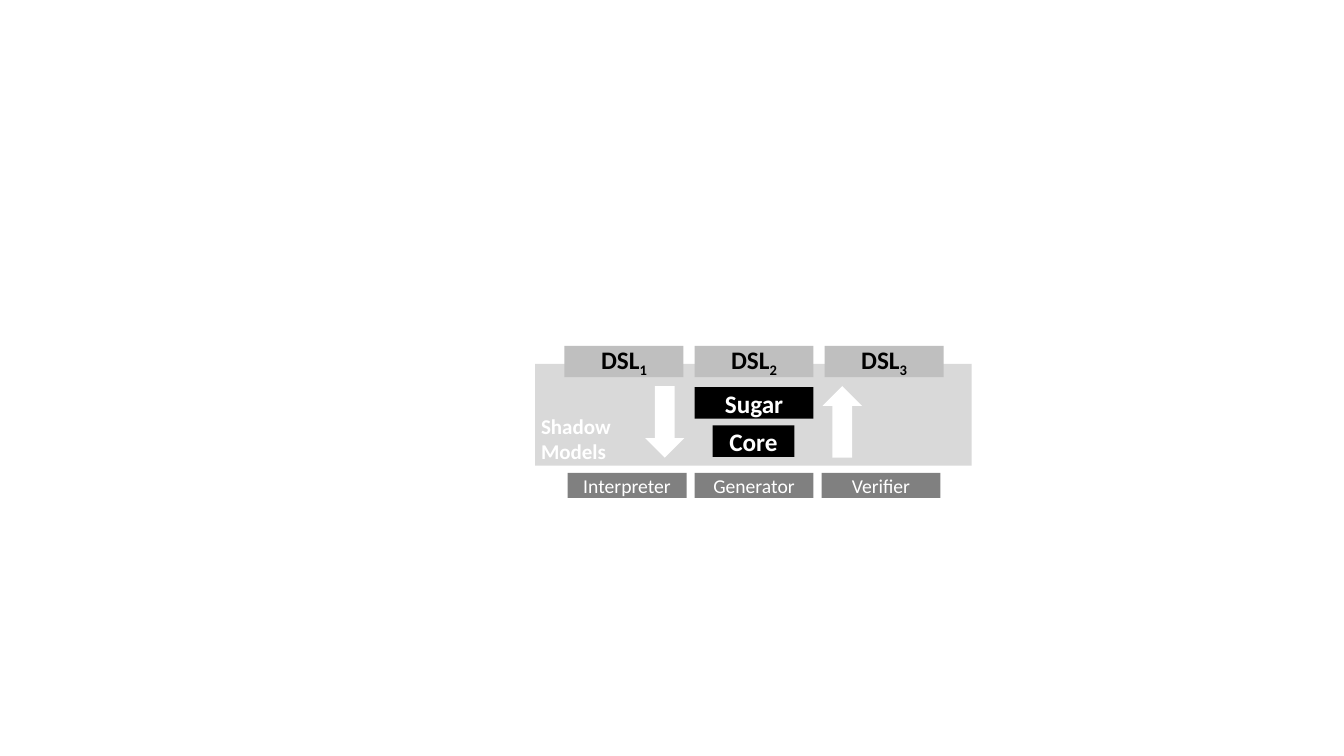
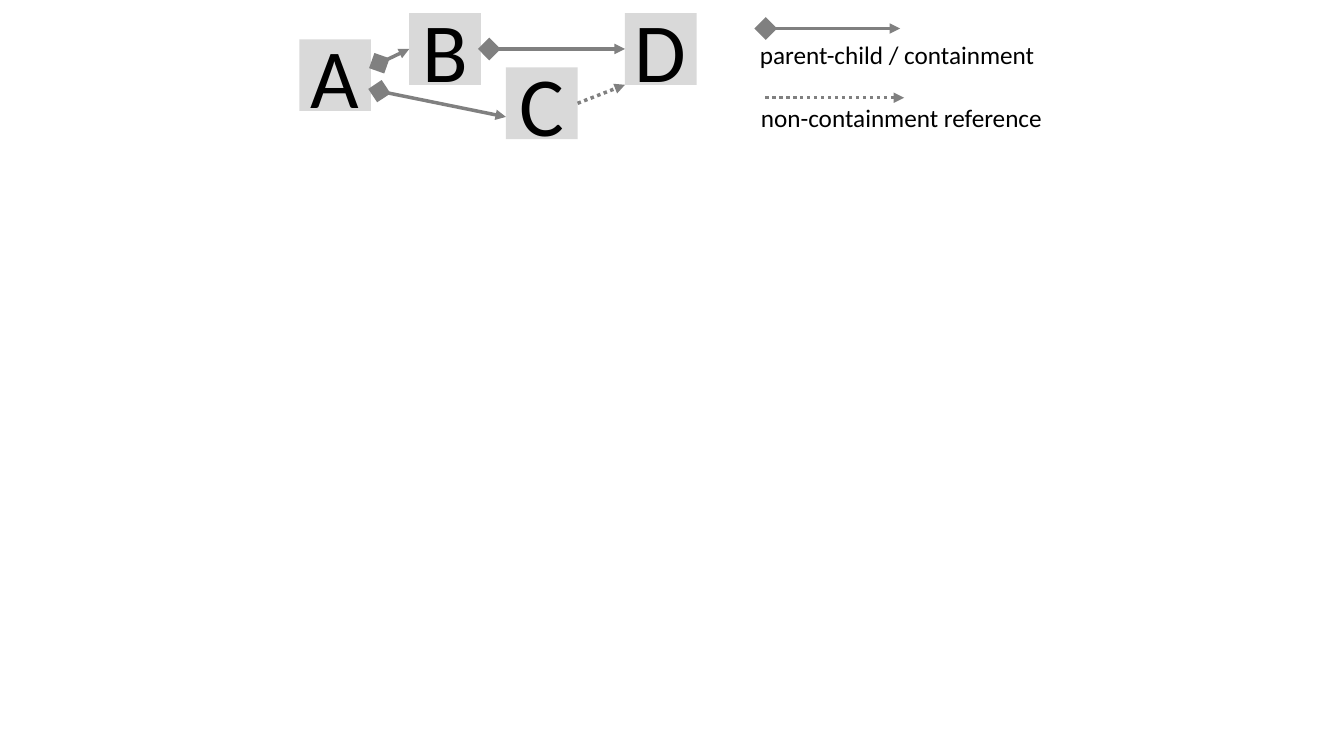
import math

from lxml import etree
from pptx import Presentation
from pptx.dml.color import RGBColor
from pptx.enum import dml, shapes, text
from pptx.oxml import ns
from pptx.util import Pt

FONT = "Calibri"
BLACK, WHITE = "000000", "FFFFFF"
PALE, SILVER, GRAY = "D9D9D9", "BFBFBF", "808080"

LANGUAGES = [("DSL", "1"), ("DSL", "2"), ("DSL", "3")]
TOOLS = ["Interpreter", "Generator", "Verifier"]
MIDDLE_LEFT, COLUMN_WIDTH = 496.1, 85
ROWS = [
    (TOOLS, 337.7, 18, 90.7, GRAY, dict(size=14, color=WHITE)),
    (LANGUAGES, 247, 22.5, 92.9, SILVER, dict(size=18, color=BLACK, bold=True)),
]
LAYERS = [("Core", 509, 303.8, 58.5), ("Sugar", MIDDLE_LEFT, 276.5, COLUMN_WIDTH)]
ARROWS = [(460.8, 0), (587.5, 180)]

NODE_SIZE = 51.2
NODES = {"A": (213.8, 28.1), "B": (292.3, 9.4), "C": (361.4, 48.2), "D": (446.4, 9.4)}
EDGES = [
    ("A", 0.7, "C", 0.69, True),
    ("C", 0.5, "D", 1, False),
    ("A", 0.39, "B", 0.5, True),
    ("B", 0.5, "D", 0.5, True),
]
LEGEND = [
    ("parent-child / containment", (541, 20.4, 643, 20.4), True, (535.7, 24.5, 213.1)),
    ("non-containment reference", (546.5, 69.8, 645.8, 69.8), False, (536.4, 69.8, 217.4)),
]
DIAMOND_SIZE, DIAMOND_OFFSET = 11.5, 6


def rgb(value):
    return RGBColor.from_string(value)


def write(frame, lines, size=18, color=BLACK, bold=False, align=text.PP_ALIGN.LEFT):
    for index, line in enumerate(lines):
        para = frame.add_paragraph() if index else frame.paragraphs[0]
        para.alignment = align
        parts = (line,) if isinstance(line, str) else line
        for position, part in enumerate(parts):
            span = para.add_run()
            span.text = part
            span.font.name, span.font.size, span.font.bold = FONT, Pt(size), bold
            span.font.color.rgb = rgb(color)
            if position:
                span.font._element.set("baseline", "-25000")


def add_box(page, left, top, width, height, fill, label=None,
            kind=shapes.MSO_SHAPE.RECTANGLE, rotation=0, **style):
    box = page.shapes.add_shape(kind, Pt(left), Pt(top), Pt(width), Pt(height))
    box.shadow.inherit = False
    box.fill.solid()
    box.fill.fore_color.rgb = rgb(fill)
    box.line.fill.background()
    box.rotation = rotation
    if label:
        box.text_frame.vertical_anchor = text.MSO_ANCHOR.MIDDLE
        write(box.text_frame, [label], align=text.PP_ALIGN.CENTER, **style)


def add_text(page, left, top, width, height, lines, **style):
    box = page.shapes.add_textbox(Pt(left), Pt(top), Pt(width), Pt(height))
    box.text_frame.word_wrap = False
    box.text_frame.auto_size = text.MSO_AUTO_SIZE.SHAPE_TO_FIT_TEXT
    write(box.text_frame, lines, **style)


def add_relation(page, x1, y1, x2, y2, containment):
    line = page.shapes.add_connector(
        shapes.MSO_CONNECTOR.STRAIGHT, Pt(x1), Pt(y1), Pt(x2), Pt(y2))
    line.line.color.rgb = rgb(GRAY)
    line.line.width = Pt(2.5)
    if not containment:
        line.line.dash_style = dml.MSO_LINE.ROUND_DOT
    outline = line.line._get_or_add_ln()
    etree.SubElement(outline, ns.qn("a:tailEnd"), type="triangle")
    etree.SubElement(line._element.spPr, ns.qn("a:effectLst"))
    if containment:
        slope = (y2 - y1) / (x2 - x1)
        half = DIAMOND_SIZE / 2
        add_box(page, x1 + DIAMOND_OFFSET - half, y1 + DIAMOND_OFFSET * slope - half,
                DIAMOND_SIZE, DIAMOND_SIZE, GRAY,
                rotation=45 + math.degrees(math.atan(slope)))


def build_architecture(page):
    add_box(page, 382.3, 259.9, 311.8, 72.7, PALE)
    for labels, top, height, pitch, fill, style in ROWS:
        for column, label in enumerate(labels):
            add_box(page, MIDDLE_LEFT + (column - 1) * pitch, top,
                    COLUMN_WIDTH, height, fill, label, **style)
    for label, left, top, width in LAYERS:
        add_box(page, left, top, width, 22.6, BLACK, label, color=WHITE, bold=True)
    for left, rotation in ARROWS:
        add_box(page, left, 275.8, 28.1, 51.1, WHITE,
                kind=shapes.MSO_SHAPE.DOWN_ARROW, rotation=rotation)
    add_text(page, 379.4, 291.6, 68.4, 43.9, ["Shadow", "Models"],
             size=15, color=WHITE, bold=True)


def build_graph(page):
    for name, (left, top) in NODES.items():
        add_box(page, left, top, NODE_SIZE, NODE_SIZE, PALE, name, size=60)
    for source, leave, target, enter, containment in EDGES:
        (x1, y1), (x2, y2) = NODES[source], NODES[target]
        add_relation(page, x1 + NODE_SIZE, y1 + leave * NODE_SIZE,
                     x2, y2 + enter * NODE_SIZE, containment)
    for label, ends, containment, (left, top, width) in LEGEND:
        add_relation(page, *ends, containment)
        add_text(page, left, top, width, 28.8, [label])


def main():
    deck = Presentation()
    deck.slide_width, deck.slide_height = Pt(960), Pt(540)
    for build in (build_architecture, build_graph):
        build(deck.slides.add_slide(deck.slide_layouts[6]))
    deck.save("out.pptx")


if __name__ == "__main__":
    main()
